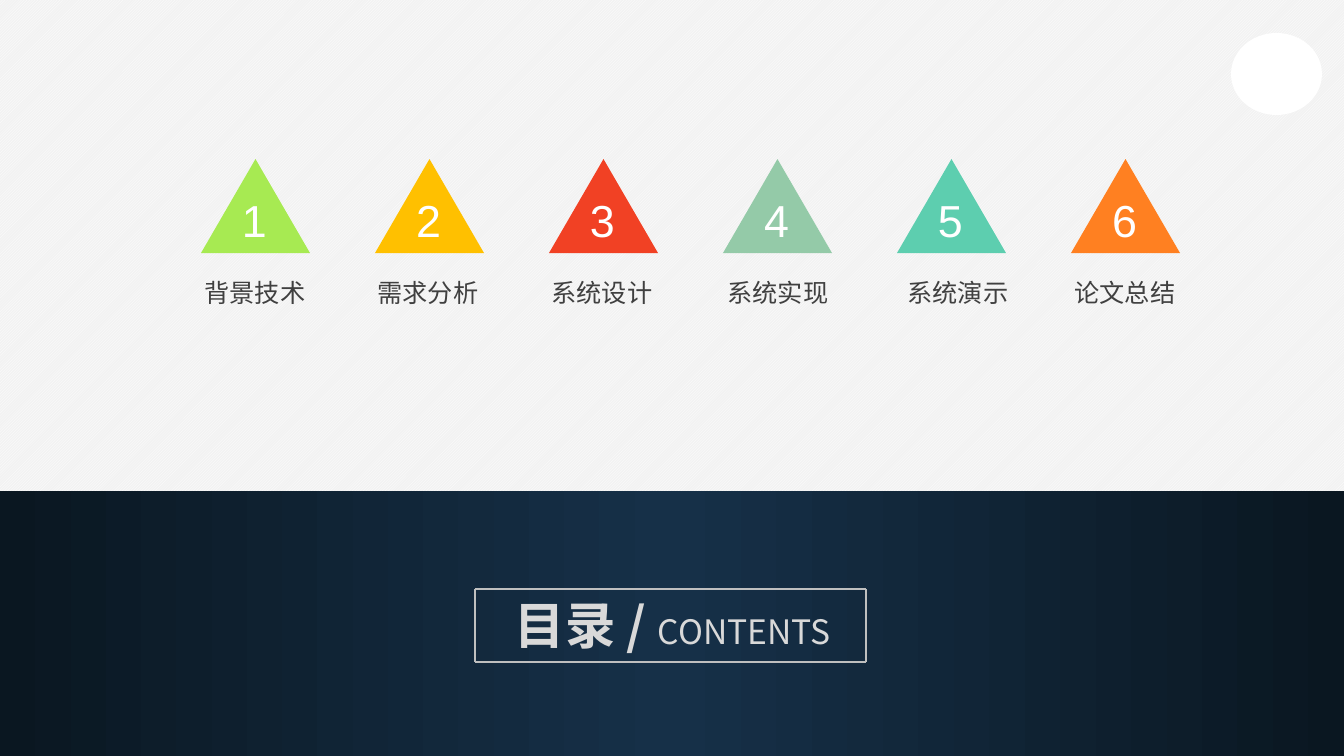
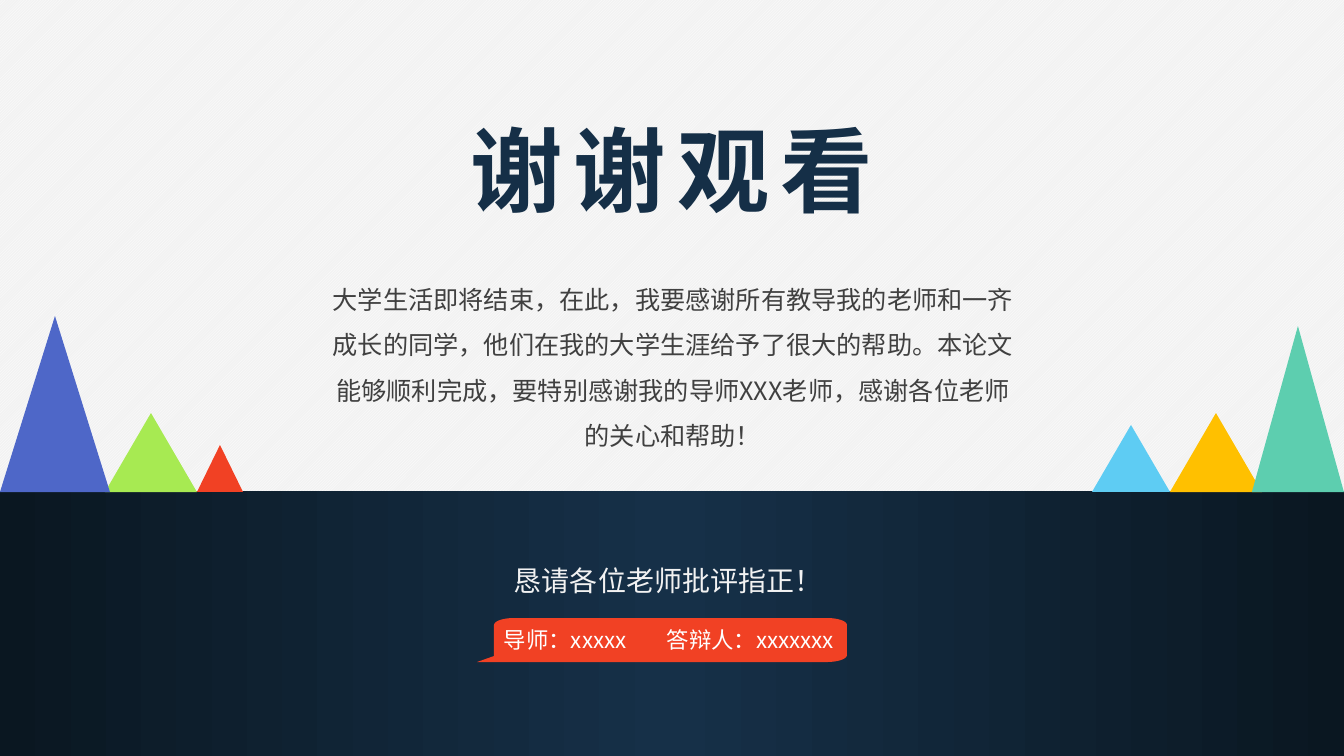
from math import cos, radians, sin

from lxml.etree import SubElement
from pptx import Presentation
from pptx.dml.color import RGBColor
from pptx.enum.dml import MSO_PATTERN
from pptx.enum.shapes import MSO_CONNECTOR, MSO_SHAPE as SHAPE
from pptx.enum.text import MSO_ANCHOR, MSO_AUTO_SIZE, PP_ALIGN as ALIGN
from pptx.oxml.ns import qn
from pptx.util import Pt

WIDTH, HEIGHT = 1344, 756
EMU_PER_PX = 12192000 / WIDTH
HORIZON = 491
PEAK_BASE = 492
CJK, LATIN = "Noto Sans CJK SC", "Arial"
COLORS = {
    "paper": "F2F2F2", "white": "FFFFFF", "navy": "163048", "night": "0A1721",
    "title": "152F47", "text": "404040", "heading": "D9D9D9", "frame": "BFBFBF",
    "lime": "A7EA52", "amber": "FFC000", "red": "F14124", "sage": "94CAA8",
    "teal": "5DCEAF", "orange": "FF8021", "sky": "5ECCF3", "indigo": "4E67C8",
}
CHAPTERS = [
    ("背景技术", "lime", 194), ("需求分析", "amber", 367), ("系统设计", "red", 541),
    ("系统实现", "sage", 717), ("系统演示", "teal", 897), ("论文总结", "orange", 1064),
]
PEAKS = [
    ("lime", 105, 92, 79), ("sky", 1092, 78, 67), ("indigo", 0, 110, 176),
    ("red", 197, 46, 47), ("amber", 1170, 92, 79), ("teal", 1252, 92, 166),
]
THANKS = (
    "大学生活即将结束，在此，我要感谢所有教导我的老师和一齐成长的同学，"
    "他们在我的大学生涯给予了很大的帮助。本论文能够顺利完成，"
    "要特别感谢我的导师XXX老师，感谢各位老师的关心和帮助！"
)


def px(length):
    return round(length * EMU_PER_PX)


def rgb(color):
    return RGBColor.from_string(COLORS[color])


def write(holder, box, text, size, color, font=CJK, align=ALIGN.CENTER, wrap=True,
          bold=False, line_spacing=None, tracking=None, tab=None):
    holder.left, holder.top, holder.width, holder.height = map(px, box)
    frame = holder.text_frame
    frame.word_wrap = wrap
    frame.auto_size = MSO_AUTO_SIZE.NONE
    frame.vertical_anchor = MSO_ANCHOR.TOP
    paragraph = frame.paragraphs[0]
    paragraph.text = text
    paragraph.alignment = align
    paragraph.space_before = Pt(0)
    if line_spacing:
        paragraph.line_spacing = line_spacing
    properties = paragraph._p.get_or_add_pPr()
    if tab:
        stops = SubElement(properties, qn("a:tabLst"))
        SubElement(stops, qn("a:tab"), pos=str(px(tab)), algn="l")
    paragraph.font.name = font
    paragraph.font.size = Pt(size)
    paragraph.font.bold = bold
    paragraph.font.color.rgb = rgb(color)
    defaults = properties.find(qn("a:defRPr"))
    SubElement(defaults, qn("a:ea"), typeface=font)
    if tracking:
        defaults.set("spc", str(tracking * 100))
    return paragraph


def add_text(shapes, box, *args, **options):
    return write(shapes.add_textbox(*map(px, box)), box, *args, **options)


def paint(shape, color):
    shape.shadow.inherit = False
    shape.fill.solid()
    shape.fill.fore_color.rgb = rgb(color)
    shape.line.fill.background()
    return shape


def add_solid(shapes, preset, box, color):
    return paint(shapes.add_shape(preset, *map(px, box)), color)


def add_frame(shapes, left, top, right, bottom):
    corners = [(left, top), (right, top), (right, bottom), (left, bottom)]
    for start, end in zip(corners, corners[1:] + corners[:1]):
        side = shapes.add_connector(MSO_CONNECTOR.STRAIGHT, *map(px, start + end))
        side.line.color.rgb = rgb("frame")
        side.line.width = Pt(1)
        SubElement(side._element.spPr, qn("a:effectLst"))


def add_callout(shapes, left, top, right, bottom, tip):
    radius_x, radius_y = 20, 7

    def corner(x, y, start):
        angles = [radians(start + step) for step in range(0, 91, 10)]
        return [(x + radius_x * cos(a), y + radius_y * sin(a)) for a in angles]

    near, far = left + radius_x, right - radius_x
    high, low = top + radius_y, bottom - radius_y
    outline = (corner(far, high, -90) + corner(far, low, 0)
               + [tip, (left, low + 1)] + corner(near, high, 180))
    points = [(px(x), px(y)) for x, y in outline]
    builder = shapes.build_freeform(*points[0])
    builder.add_line_segments(points[1:], close=True)
    paint(builder.convert_to_shape(), "red")


def set_up_master(deck, slide):
    master = deck.slide_master
    backdrop = master.background.fill
    backdrop.patterned()
    backdrop.pattern = MSO_PATTERN.LIGHT_UPWARD_DIAGONAL
    backdrop.fore_color.rgb = rgb("white")
    backdrop.back_color.rgb = rgb("paper")
    middle = 670
    for number, (left, right, turn) in enumerate([(0, middle, 180), (middle, WIDTH, 0)]):
        band = add_solid(slide.shapes, SHAPE.RECTANGLE,
                         (left, HORIZON, right - left, HEIGHT - HORIZON), "navy")
        band.fill.gradient()
        band.fill.gradient_angle = 0
        for stop, position, color in zip(band.fill.gradient_stops, (0, 1), ("navy", "night")):
            stop.position = position
            stop.color.rgb = rgb(color)
        band.rotation = turn
        band.element.nvSpPr.cNvPr.id = 20 + number
        master.shapes.element.append(band.element)


def add_chapter(shapes, index, label, color, label_left):
    left = 201 + 174 * index
    badge = shapes.add_group_shape().shapes
    add_solid(badge, SHAPE.ISOSCELES_TRIANGLE, (left, 159, 109, 94), color)
    add_text(badge, (left + 31, 188, 45, 65), str(index + 1), 32, "white",
             font=LATIN, wrap=False)
    add_text(shapes, (label_left, 272, 122, 40), label, 18, "text", wrap=False)


def build_contents(slide):
    shapes = slide.shapes
    for index, chapter in enumerate(CHAPTERS):
        add_chapter(shapes, index, *chapter)
    heading = write(shapes.title, (490, 589, 365, 72), "目录 / ", 36, "heading", bold=True)
    english = heading.add_run()
    english.text = "CONTENTS"
    english.font.size = Pt(24)
    english.font.bold = False
    add_frame(shapes, 475, 589, 866, 662)
    add_solid(shapes, SHAPE.OVAL, (1231, 33, 91, 82), "white")


def build_thanks(slide):
    shapes = slide.shapes
    write(shapes.title, (427, 108, 490, 122), "谢谢观看", 66, "title", bold=True, tracking=8)
    write(slide.placeholders[1], (318, 264, 710, 196), THANKS, 18, "text", line_spacing=1.5)
    add_text(shapes, (504, 542, 336, 55), "恳请各位老师批评指正！", 20, "paper",
             align=ALIGN.LEFT, line_spacing=1.5)
    for color, left, width, height in PEAKS:
        add_solid(shapes, SHAPE.ISOSCELES_TRIANGLE,
                  (left, PEAK_BASE - height, width, height), color)
    add_callout(shapes, 494, 618, 847, 662, tip=(477, 662))
    add_text(shapes, (494, 621, 370, 39), "导师：xxxxx\t答辩人：xxxxxxx", 16, "white",
             align=ALIGN.LEFT, tab=163)


def main():
    deck = Presentation()
    deck.slide_width, deck.slide_height = px(WIDTH), px(HEIGHT)
    title_and_subtitle, title_only = deck.slide_layouts[0], deck.slide_layouts[5]
    contents = deck.slides.add_slide(title_only)
    set_up_master(deck, contents)
    build_contents(contents)
    build_thanks(deck.slides.add_slide(title_and_subtitle))
    deck.save("out.pptx")


if __name__ == "__main__":
    main()
